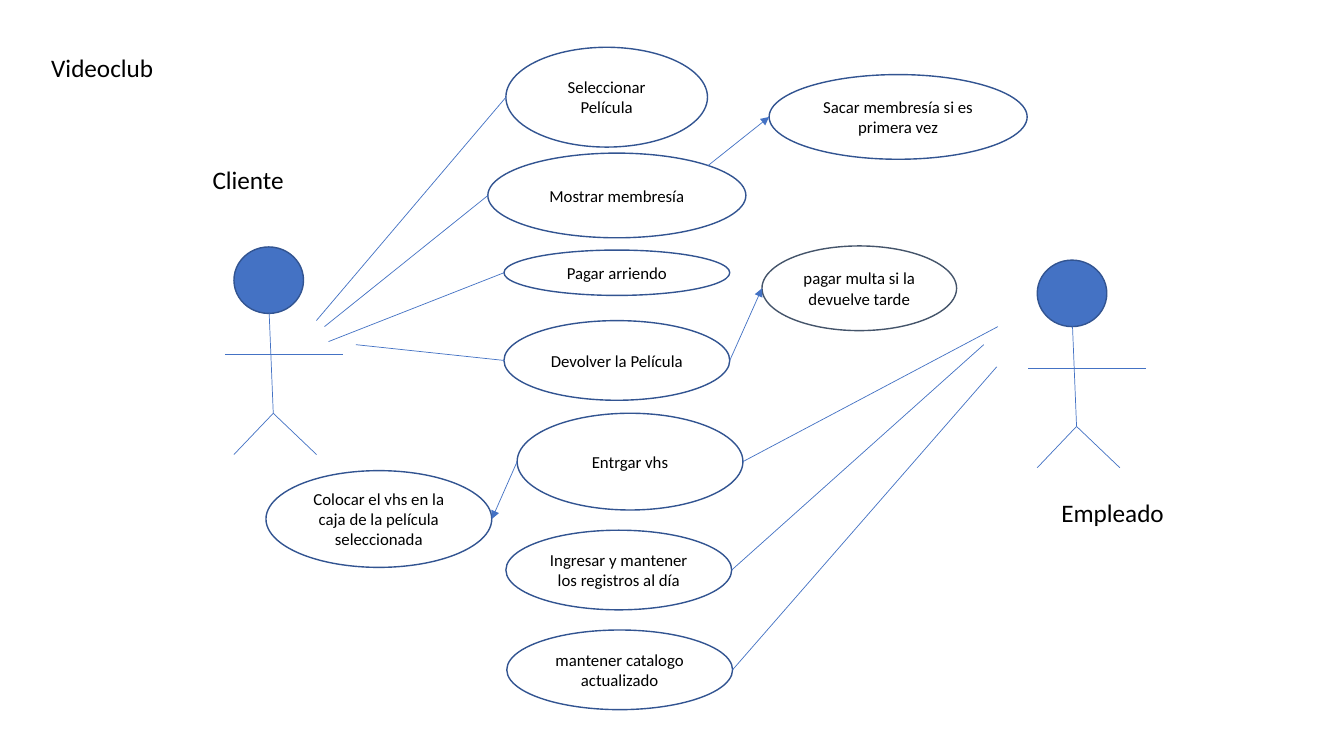
"""Build a use case diagram for a video club with two actors."""
from lxml import etree
from pptx import Presentation
from pptx.dml.color import RGBColor
from pptx.enum import shapes, text
from pptx.oxml import ns
from pptx.util import Pt

COLORS = {"blue": "4472C4", "outline": "325491", "slate": "44546A",
          "black": "000000", "white": "FFFFFF"}
FONT = "Calibri"
DIAGONAL = 0.5 ** 0.5
SIDES = {"left": (-1, 0), "right": (1, 0), "upper right": (DIAGONAL, -DIAGONAL)}

USE_CASES = {
    "select": ("Seleccionar Película", (361.4, 33.8, 144, 71.3)),
    "show": ("Mostrar membresía", (348.5, 109.4, 184.3, 60.5)),
    "pay": ("Pagar arriendo", (360, 178.6, 161.3, 32.4)),
    "give back": ("Devolver la Película", (360, 229, 161.3, 56.9)),
    "put in box": ("Colocar el vhs en la caja de la película seleccionada",
                   (190, 336.2, 161.3, 69.1)),
    "records": ("Ingresar y mantener los registros al día", (361.4, 378.7, 161.3, 56.9)),
    "catalogue": ("mantener catalogo actualizado", (362, 450, 161.3, 56.9)),
    "join": ("Sacar membresía si es primera vez", (549.4, 53.3, 184.3, 60.5)),
    "fine": ("pagar multa si la devuelve tarde", (544.3, 175.7, 139, 60.5)),
    "hand over": ("Entrgar vhs", (369.4, 295.2, 161.3, 69.1)),
}
ACTOR_LINKS = [
    ("select", "left", (226, 229)),
    ("show", "left", (231.8, 233.3)),
    ("pay", "left", (234.7, 244)),
    ("give back", "left", (254.2, 246.2)),
    ("hand over", "right", (712.8, 233.3)),
    ("records", "right", (702.7, 246.2)),
    ("catalogue", "right", (712, 262)),
]
EXTENSIONS = [
    ("show", "upper right", "join", "left"),
    ("give back", "right", "fine", "left"),
    ("hand over", "left", "put in box", "right"),
]
ACTORS = [(160.6, 176.4, 84.2, 148.3), (734.4, 185.8, 84.2, 148.3)]
LABELS = [
    ("Videoclub", (29.5, 33.8, 88.6, 29)),
    ("Cliente", (144.7, 113.8, 66.2, 29)),
    ("Empleado", (751, 352, 88.6, 29)),
]


def color(name):
    return RGBColor.from_string(COLORS[name])


def points(values):
    return [Pt(value) for value in values]


def anchor(box, side):
    left, top, width, height = box
    across, down = SIDES[side]
    return left + width / 2 * (1 + across), top + height / 2 * (1 + down)


def write(shape, words, size):
    frame = shape.text_frame
    frame.text = words
    span = frame.paragraphs[0].runs[0]
    span.font.name = FONT
    span.font.size = Pt(size)
    span.font.color.rgb = color("black")
    return frame


def draw_line(parent, start, end, arrow=False):
    line = parent.add_connector(shapes.MSO_CONNECTOR.STRAIGHT, *points((*start, *end)))
    line.line.color.rgb = color("blue")
    line.line.width = Pt(0.5)
    if arrow:
        etree.SubElement(line.line._get_or_add_ln(), ns.qn("a:tailEnd"), type="triangle")
    etree.SubElement(line._element.spPr, ns.qn("a:effectLst"))


def draw_ellipse(parent, box, fill=None, outline="outline"):
    oval = parent.add_shape(shapes.MSO_SHAPE.OVAL, *points(box))
    oval.shadow.inherit = False
    if fill:
        oval.fill.solid()
        oval.fill.fore_color.rgb = color(fill)
    else:
        oval.fill.background()
    oval.line.color.rgb = color(outline)
    oval.line.width = Pt(1)
    return oval


def draw_actor(page, box):
    left, top, width, height = box
    group = page.shapes.add_group_shape().shapes
    draw_ellipse(group, (left + 6.5, top, 49.7, 47.5), "blue")
    hip = (left + 34.6, top + 118.8)
    draw_line(group, (left + 31.7, top + 47.5), hip)
    for foot in (6.5, 65.5):
        draw_line(group, hip, (left + foot, top + height))
    draw_line(group, (left, top + 77), (left + width, top + 77))


def draw_use_case(page, box, words, **style):
    frame = write(draw_ellipse(page.shapes, box, **style), words, 12)
    frame.word_wrap = True
    frame.vertical_anchor = text.MSO_ANCHOR.MIDDLE
    frame.paragraphs[0].alignment = text.PP_ALIGN.CENTER


def draw_label(page, box, words):
    frame = write(page.shapes.add_textbox(*points(box)), words, 18)
    frame.word_wrap = False
    frame.auto_size = text.MSO_AUTO_SIZE.SHAPE_TO_FIT_TEXT


def draw_links(page):
    boxes = {name: box for name, (words, box) in USE_CASES.items()}
    for name, side, hand in ACTOR_LINKS:
        draw_line(page.shapes, anchor(boxes[name], side), hand)
    for base, side, extra, extra_side in EXTENSIONS:
        draw_line(page.shapes, anchor(boxes[base], side),
                  anchor(boxes[extra], extra_side), arrow=True)


deck = Presentation()
deck.slide_width, deck.slide_height = Pt(960), Pt(540)
page = deck.slides.add_slide(deck.slide_layouts[6])
for actor_box in ACTORS:
    draw_actor(page, actor_box)
for name, (words, case_box) in USE_CASES.items():
    style = {"fill": "white", "outline": "slate"} if name == "fine" else {}
    draw_use_case(page, case_box, words, **style)
draw_links(page)
for words, label_box in LABELS:
    draw_label(page, label_box, words)
deck.save("out.pptx")
